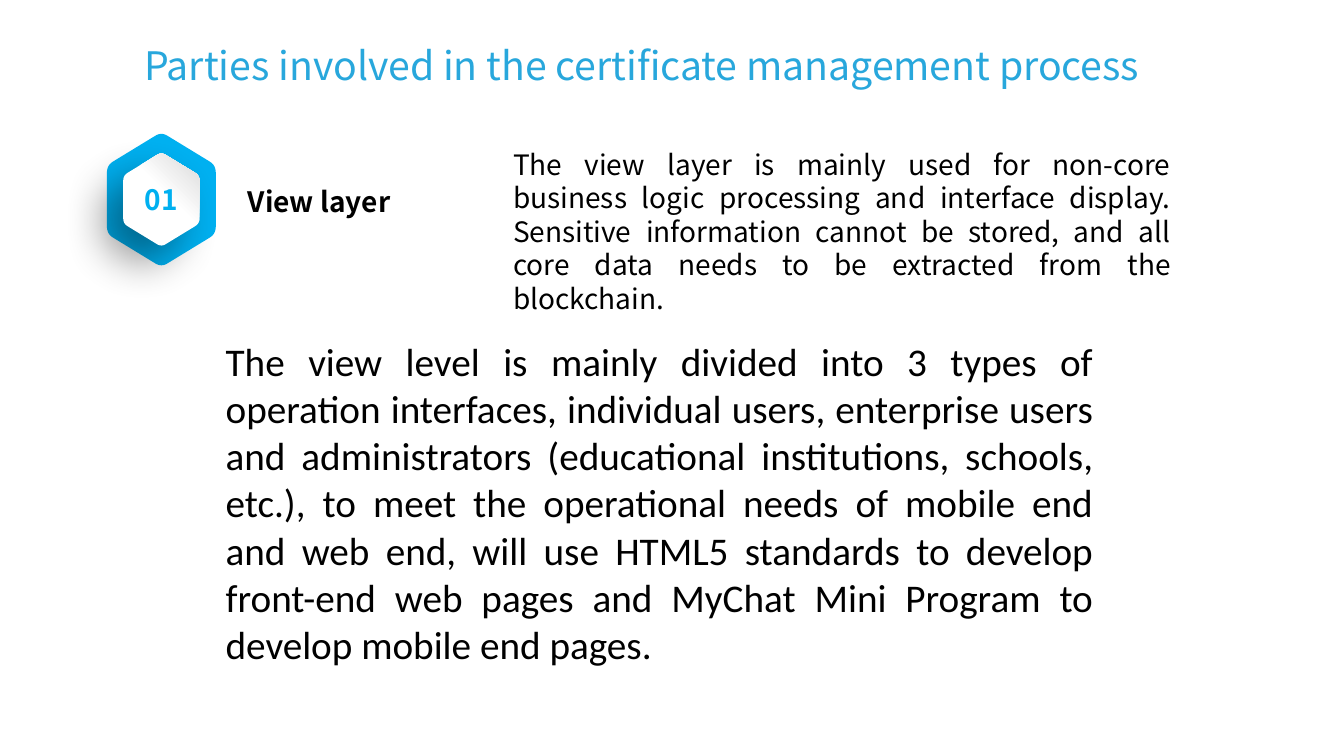
import lxml.etree
import pptx
import pptx.dml.color
import pptx.enum.text
import pptx.oxml
import pptx.util

PX = 9144
THEME = {
    "sans": "Noto Sans CJK SC", "body": "Calibri",
    "black": "000000", "sky": "00B0F0", "blue": "0599D7",
    "white": "FFFFFF", "gray": "D9D9D9",
    "small": 20, "large": 28,
}
NS = 'xmlns:a="http://schemas.openxmlformats.org/drawingml/2006/main"'
ALIGN = pptx.enum.text.PP_ALIGN
ANCHOR = pptx.enum.text.MSO_ANCHOR
SIZE = pptx.enum.text.MSO_AUTO_SIZE

deck = pptx.Presentation()
deck.slide_width, deck.slide_height = 1333 * PX, 750 * PX
slide = deck.slides.add_slide(deck.slide_layouts[6])


def add_text(text, box, size="small", face="sans", color="black", bold=False,
             align=ALIGN.LEFT, anchor=ANCHOR.TOP, wrap=True, grow=False):
    shape = slide.shapes.add_textbox(*[n * PX for n in box])
    frame = shape.text_frame
    frame.word_wrap = wrap
    frame.auto_size = SIZE.SHAPE_TO_FIT_TEXT if grow else SIZE.NONE
    frame.vertical_anchor = anchor
    para = frame.paragraphs[0]
    para.alignment = align
    run = para.add_run()
    run.text = text
    run.font.name = THEME[face]
    run.font.size = pptx.util.Pt(THEME[size])
    run.font.bold = bold
    run.font.color.rgb = pptx.dml.color.RGBColor.from_string(THEME[color])
    return run


def add_hex(mid, ratio, trim=0.11):
    ends = [(67, 0), (34, 54), (-34, 54), (-67, 0), (-34, -54), (34, -54)]
    dots = []
    for i, here in enumerate(ends):
        near, far = [
            [h + (e - h) * trim for h, e in zip(here, ends[j])]
            for j in (i - 1, (i + 1) % 6)
        ]
        for t in [k / 8 for k in range(9)]:
            dots.append([
                (m + ratio * ((1 - t) ** 2 * a + 2 * t * (1 - t) * h + t * t * b)) * PX
                for m, a, h, b in zip(mid, near, here, far)
            ])
    form = slide.shapes.build_freeform(*dots[0])
    form.add_line_segments(dots[1:], close=True)
    shape = form.convert_to_shape()
    shape.rotation = 90
    shape.shadow.inherit = False
    shape.line.fill.background()
    return shape


add_text("View layer", (236, 178, 180, 41), bold=True)

badge = (160, 198)
outer = add_hex(badge, 1)
outer.fill.solid()
outer.fill.fore_color.rgb = pptx.dml.color.RGBColor.from_string(THEME["sky"])

inner = add_hex(badge, 0.7)
inner.fill.gradient()
inner.fill.gradient_angle = 135
for stop, place, tone in zip(inner.fill.gradient_stops, (0.55, 1), ("white", "gray")):
    stop.position = place
    stop.color.rgb = pptx.dml.color.RGBColor.from_string(THEME[tone])
glow = inner._element.spPr.find(pptx.oxml.ns.qn("a:effectLst"))
glow.append(pptx.oxml.parse_xml(
    f'<a:outerShdw {NS} blurRad="381000" dist="254000" dir="8100000" '
    f'algn="ctr" rotWithShape="0"><a:srgbClr val="{THEME["black"]}">'
    '<a:alpha val="40000"/></a:srgbClr></a:outerShdw>'))

add_text("01", (110, 172, 100, 52), color="sky", bold=True,
         align=ALIGN.CENTER, anchor=ANCHOR.MIDDLE)

title = add_text("Parties involved in the certificate management process",
                 (133, 36, 1038, 57), size="large", color="blue",
                 wrap=False, grow=True)
stops = "".join(
    f'<a:gs pos="{place}000"><a:srgbClr val="{THEME["blue"]}">'
    f'<a:alpha val="{alpha}000"/></a:srgbClr></a:gs>'
    for place, alpha in ((0, 100), (42, 85), (59, 80), (100, 100)))
solid = title.font._element.find(pptx.oxml.ns.qn("a:solidFill"))
title.font._element.replace(solid, pptx.oxml.parse_xml(
    f'<a:gradFill {NS}><a:gsLst>{stops}</a:gsLst>'
    '<a:lin ang="2700000" scaled="0"/></a:gradFill>'))

add_text("The view layer is mainly used for non-core business logic processing "
         "and interface display. Sensitive information cannot be stored, and all "
         "core data needs to be extracted from the blockchain.",
         (499, 141, 672, 180), align=ALIGN.JUSTIFY)
add_text("The view level is mainly divided into 3 types of operation interfaces, "
         "individual users, enterprise users and administrators (educational "
         "institutions, schools, etc.), to meet the operational needs of mobile "
         "end and web end, will use HTML5 standards to develop front-end web pages "
         "and MyChat Mini Program to develop mobile end pages.",
         (214, 330, 880, 340), size="large", face="body",
         align=ALIGN.JUSTIFY, grow=True)

deck.save("out.pptx")
